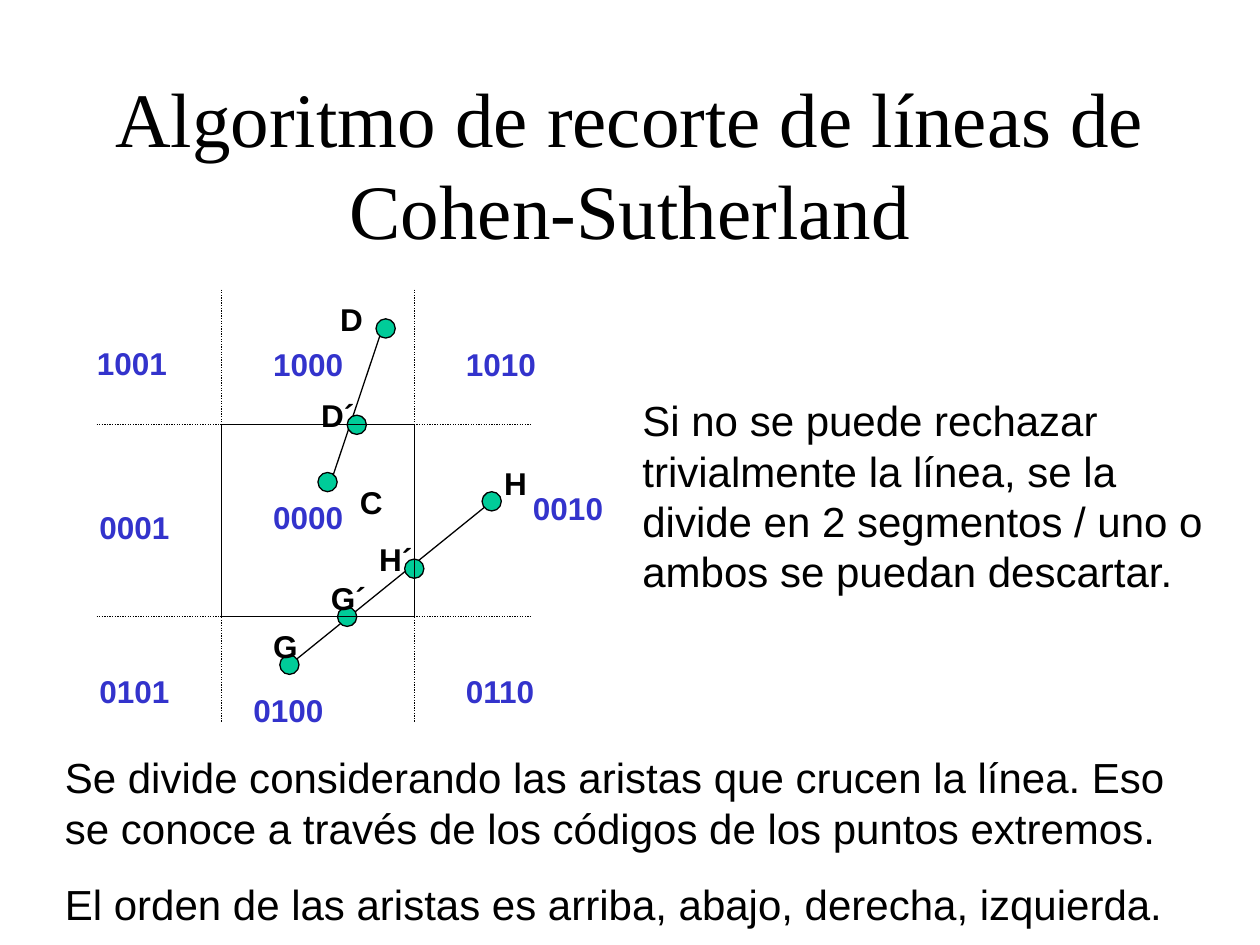
from lxml.etree import SubElement
from pptx import Presentation
from pptx.dml.color import RGBColor
from pptx.enum.dml import MSO_LINE
from pptx.enum.shapes import MSO_CONNECTOR, MSO_SHAPE
from pptx.enum.text import MSO_ANCHOR, MSO_AUTO_SIZE, PP_ALIGN
from pptx.oxml.ns import qn
from pptx.util import Pt

COLORS = {"text": "000000", "code": "3333CC", "point": "00CC99"}
TITLE = {"name": "Times New Roman", "size": Pt(44), "bold": False}
BODY = {"name": "Arial", "size": Pt(24), "bold": False}
LABEL = {"name": "Arial", "size": Pt(18), "bold": True}

WINDOW_X = (126.75, 236.75)
WINDOW_Y = (242.6, 352.4)
GUIDE_X = (55.2, 303.2)
GUIDE_Y = (165.5, 412.5)
POINT_SIZE = 11

SEGMENTS = [
    ((220.4, 182), (187.2, 281), [(187.2, 275.5), (220.4, 187.7), (203.9, 242.75)]),
    ((281, 286.5), (165.4, 380),
     [(165.4, 379.9), (198.4, 352.5), (236.75, 325), (281, 286.5)]),
]

POINT_LABELS = [
    ("D", 187.3, 168, 28), ("C", 198.6, 272.5, 28), ("D´", 176.4, 222.5, 35),
    ("H", 281, 261.5, 28), ("H´", 209.5, 305, 35), ("G´", 182, 327.2, 36),
    ("G", 149, 354.5, 29),
]

REGION_CODES = [
    ("0000", 149, 281), ("1010", 259.2, 193.5), ("1000", 149, 193.5),
    ("1001", 48.25, 193), ("0001", 49.75, 286.5), ("0010", 297.5, 276),
    ("0110", 259.2, 380.3), ("0100", 137.75, 391.2), ("0101", 49.75, 380.3),
]


def rgb(name):
    return RGBColor.from_string(COLORS[name])


def format_text(p, fmt, color):
    for key, value in fmt.items():
        setattr(p.font, key, value)
    p.font.color.rgb = rgb(color)


def add_title(s, text):
    sp = s.shapes.title
    sp.left, sp.top, sp.width, sp.height = Pt(54), Pt(48), Pt(612), Pt(90)
    tf = sp.text_frame
    tf.text = text
    tf.word_wrap = True
    tf.auto_size = MSO_AUTO_SIZE.NONE
    tf.vertical_anchor = MSO_ANCHOR.MIDDLE
    p = tf.paragraphs[0]
    p.alignment = PP_ALIGN.CENTER
    format_text(p, TITLE, "text")


def add_text(s, paragraphs, box, fmt, color="text", wrap=True):
    tf = s.shapes.add_textbox(*map(Pt, box)).text_frame
    tf.word_wrap = wrap
    tf.auto_size = MSO_AUTO_SIZE.SHAPE_TO_FIT_TEXT
    for i, text in enumerate(paragraphs):
        p = tf.add_paragraph() if i else tf.paragraphs[0]
        p.text = text
        if i:
            p.space_before = Pt(15)
        format_text(p, fmt, color)


def add_line(s, start, end, dash=None):
    line = s.shapes.add_connector(MSO_CONNECTOR.STRAIGHT, *map(Pt, (*start, *end)))
    line.line.color.rgb = rgb("text")
    line.line.width = Pt(0.75)
    if dash:
        line.line.dash_style = dash
    SubElement(line._element.spPr, qn("a:effectLst"))


def add_point(s, x, y):
    sp = s.shapes.add_shape(MSO_SHAPE.OVAL, Pt(x - POINT_SIZE / 2),
                            Pt(y - POINT_SIZE / 2), Pt(POINT_SIZE), Pt(POINT_SIZE))
    sp.shadow.inherit = False
    sp.fill.solid()
    sp.fill.fore_color.rgb = rgb("point")
    sp.line.color.rgb = rgb("text")
    sp.line.width = Pt(0.75)


def add_grid_lines(s, span_x, span_y, dash=None):
    for x in WINDOW_X:
        add_line(s, (x, span_y[0]), (x, span_y[1]), dash)
    for y in WINDOW_Y:
        add_line(s, (span_x[0], y), (span_x[1], y), dash)


def main():
    prs = Presentation()
    prs.slide_width, prs.slide_height = Pt(720), Pt(540)
    s = prs.slides.add_slide(prs.slide_layouts[5])

    add_title(s, "Algoritmo de recorte de líneas de Cohen-Sutherland")
    add_text(s, ["Si no se puede rechazar trivialmente la línea, se la divide en 2 "
                 "segmentos / uno o ambos se puedan descartar."],
             (360, 222, 336, 122.5), BODY)

    for start, end, points in SEGMENTS:
        add_line(s, start, end)
        for x, y in points:
            add_point(s, x, y)

    for text, x, y, width in POINT_LABELS:
        add_text(s, [text], (x, y, width, 29), LABEL, wrap=False)

    add_grid_lines(s, GUIDE_X, GUIDE_Y, MSO_LINE.ROUND_DOT)
    add_grid_lines(s, WINDOW_X, WINDOW_Y)

    for text, x, y in REGION_CODES:
        add_text(s, [text], (x, y, 56, 29), LABEL, "code", wrap=False)

    add_text(s, ["Se divide considerando las aristas que crucen la línea. Eso se "
                 "conoce a través de los códigos de los puntos extremos.",
                 "El orden de las aristas es arriba, abajo, derecha, izquierda."],
             (30, 426, 660, 109), BODY)
    prs.save("out.pptx")


if __name__ == "__main__":
    main()
